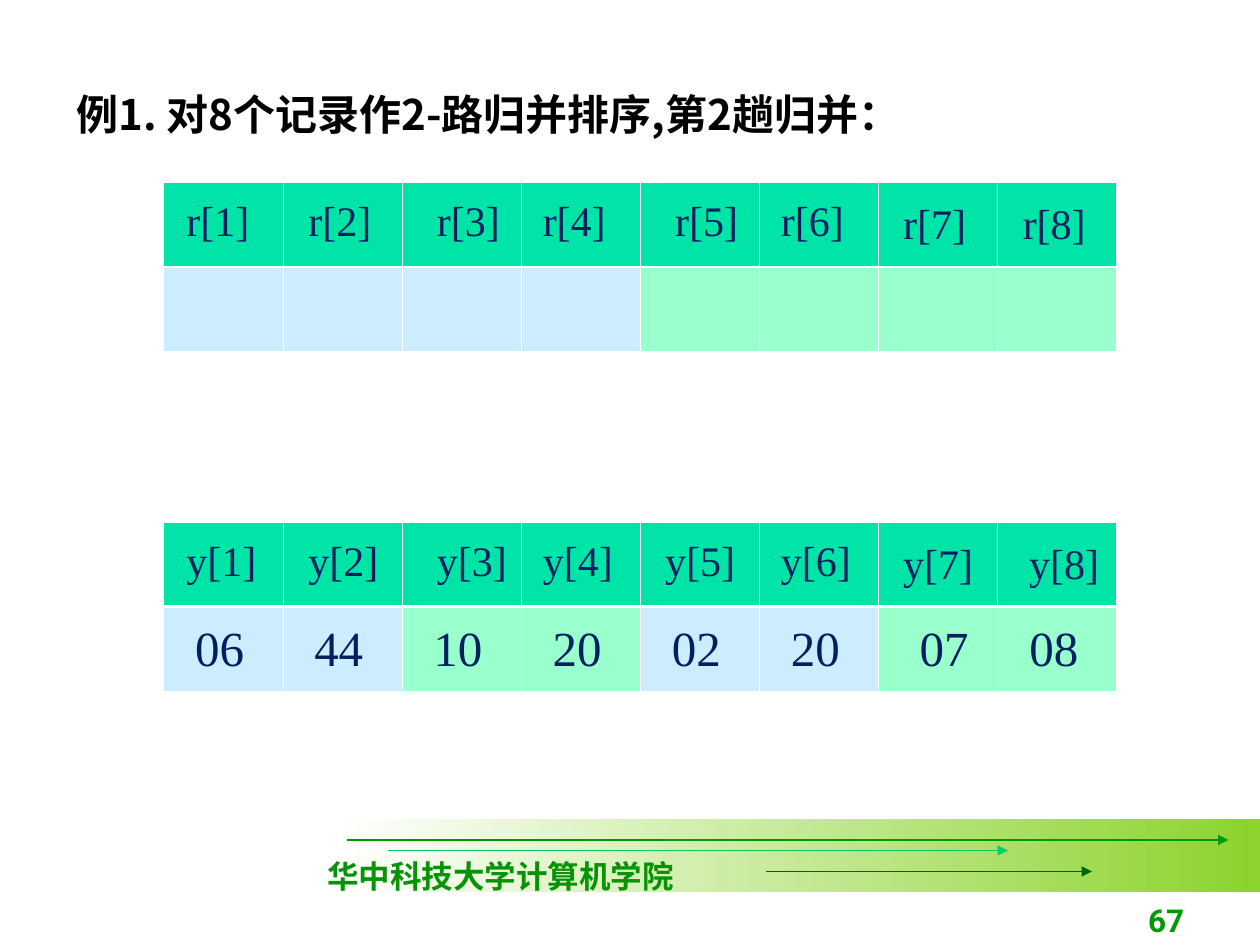
from lxml.etree import SubElement
from pptx import Presentation
from pptx.dml.color import RGBColor
from pptx.enum.shapes import MSO_CONNECTOR, MSO_SHAPE
from pptx.enum.text import MSO_ANCHOR, PP_ALIGN
from pptx.oxml.ns import qn
from pptx.util import Pt

SERIF, CHINESE = "Times New Roman", "Noto Sans CJK SC"
NAVY, GREEN, WHITE = "002060", "009900", "FFFFFF"
HEADER, BLUE, MINT = "00E4A8", "CCECFF", "99FFCC"
COLUMN, ROW = 68.04, 48.24
THIN, THICK = 0.45, 1.47


def color(value):
    """Return the colour for a hex string."""
    return RGBColor.from_string(value)


def fill_text(box, text, size, font, ink, bold=False, align=PP_ALIGN.LEFT,
              anchor=MSO_ANCHOR.TOP, wrap=True):
    """Write one formatted paragraph into a box."""
    frame = box.text_frame
    frame.word_wrap = wrap
    frame.vertical_anchor = anchor
    frame.margin_left = frame.margin_right = Pt(7.2)
    frame.margin_top = frame.margin_bottom = Pt(3.6)
    para = frame.paragraphs[0]
    para.text = text
    para.alignment = align
    para.font.size = Pt(size)
    para.font.name = font
    para.font.bold = bold
    para.font.color.rgb = color(ink)
    SubElement(para._p.pPr.find(qn("a:defRPr")), qn("a:ea"), typeface=CHINESE)
    return para


def add_text(page, left, top, width, height, text, size, font, ink, **options):
    """Add a text box with one paragraph."""
    box = page.shapes.add_textbox(Pt(left), Pt(top), Pt(width), Pt(height))
    return fill_text(box, text, size, font, ink, **options)


def add_arrow(page, start, end, y, ink):
    """Add a thin horizontal arrow pointing right."""
    arrow = page.shapes.add_connector(MSO_CONNECTOR.STRAIGHT, Pt(start), Pt(y), Pt(end), Pt(y))
    arrow.line.color.rgb = color(ink)
    arrow.line.width = Pt(0.75)
    SubElement(arrow.line._get_or_add_ln(), qn("a:tailEnd"), type="triangle")
    SubElement(arrow._element.spPr, qn("a:effectLst"))


def add_footer(page, left, top, width, height):
    """Add the gradient band, its arrows, the school name and the page number."""
    band = page.shapes.add_shape(MSO_SHAPE.RECTANGLE, Pt(left), Pt(top), Pt(width), Pt(height))
    band.shadow.inherit = False
    band.line.fill.background()
    band.fill.gradient()
    band.fill.gradient_angle = 0
    for stop, position, shade in zip(band.fill.gradient_stops, (0, 1), (WHITE, "8CD32D")):
        stop.position = position
        stop.color.rgb = color(shade)
    for start, end, drop, ink in [(6, 510, 12, GREEN), (30, 384, 18, "00CC66"),
                                  (246, 432, 30, "006600")]:
        add_arrow(page, left + start, left + end, top + drop, ink)
    add_text(page, left - 12, top + 18, 212.4, 28.8, "华中科技大学计算机学院", 18,
             SERIF, "069406", bold=True, wrap=False)
    add_text(page, left + 342, top + 36, 149.8, 36, "67", 18, "Roboto", GREEN,
             bold=True, align=PP_ALIGN.RIGHT, anchor=MSO_ANCHOR.BOTTOM)


def format_cell(cell, shade, top_width, bottom_width):
    """Give a cell white borders and a solid fill."""
    properties = cell._tc.get_or_add_tcPr()
    for side, width in zip("LRTB", (THIN, THIN, top_width, bottom_width)):
        line = SubElement(properties, qn(f"a:ln{side}"), w=str(Pt(width)))
        SubElement(SubElement(line, qn("a:solidFill")), qn("a:srgbClr"), val=WHITE)
    cell.fill.solid()
    cell.fill.fore_color.rgb = color(shade)


def add_records(page, left, top, name, label_offsets, shades, values=()):
    """Add a two-row record table with its labels and values laid over it."""
    count = len(shades)
    table = page.shapes.add_table(2, count, Pt(left), Pt(top),
                                  Pt(count * COLUMN), Pt(2 * ROW)).table
    for row in table.rows:
        row.height = Pt(ROW)
    for index, shade in enumerate(shades):
        table.columns[index].width = Pt(COLUMN)
        format_cell(table.cell(0, index), HEADER, THIN, THICK)
        format_cell(table.cell(1, index), shade, THICK, THIN)
    for index, offset in enumerate(label_offsets):
        drop = 3.6 if index < 6 else 5
        add_text(page, left + offset, top + drop, 66.5, 36, f"{name}[{index + 1}]",
                 24, SERIF, NAVY)
    for index, value in enumerate(values):
        shift = 5.4 if index == 6 else 0
        add_text(page, left + 10.8 + index * 68.1 + shift, top + 51.1, 56.9, 41,
                 value, 28, SERIF, NAVY)


def add_title(page, left, top, width, height, text):
    """Place and format the title."""
    title = page.shapes.title
    title.left, title.top, title.width, title.height = map(Pt, (left, top, width, height))
    fill_text(title, text, 24, CHINESE, "000000", bold=True).line_spacing = 1.1


def main():
    """Build the slide and save the deck."""
    deck = Presentation()
    deck.slide_width, deck.slide_height = Pt(720), Pt(540)
    page = deck.slides.add_slide(deck.slide_layouts[5])
    add_footer(page, 192, 468, 528, 42)
    add_title(page, 36.7, 43.9, 640.8, 38.9, "例1. 对8个记录作2-路归并排序,第2趟归并：")
    add_records(page, 93.6, 104.2, "r", [5.8, 75.6, 149, 209.5, 285.1, 345.6, 415.4, 483.8],
                [BLUE] * 4 + [MINT] * 4)
    add_records(page, 93.6, 298.4, "y", [5.8, 75.6, 149, 209.5, 279.4, 345.6, 415.4, 487.4],
                ([BLUE] * 2 + [MINT] * 2) * 2,
                ["06", "44", "10", "20", "02", "20", "07", "08"])
    deck.save("out.pptx")


if __name__ == "__main__":
    main()
